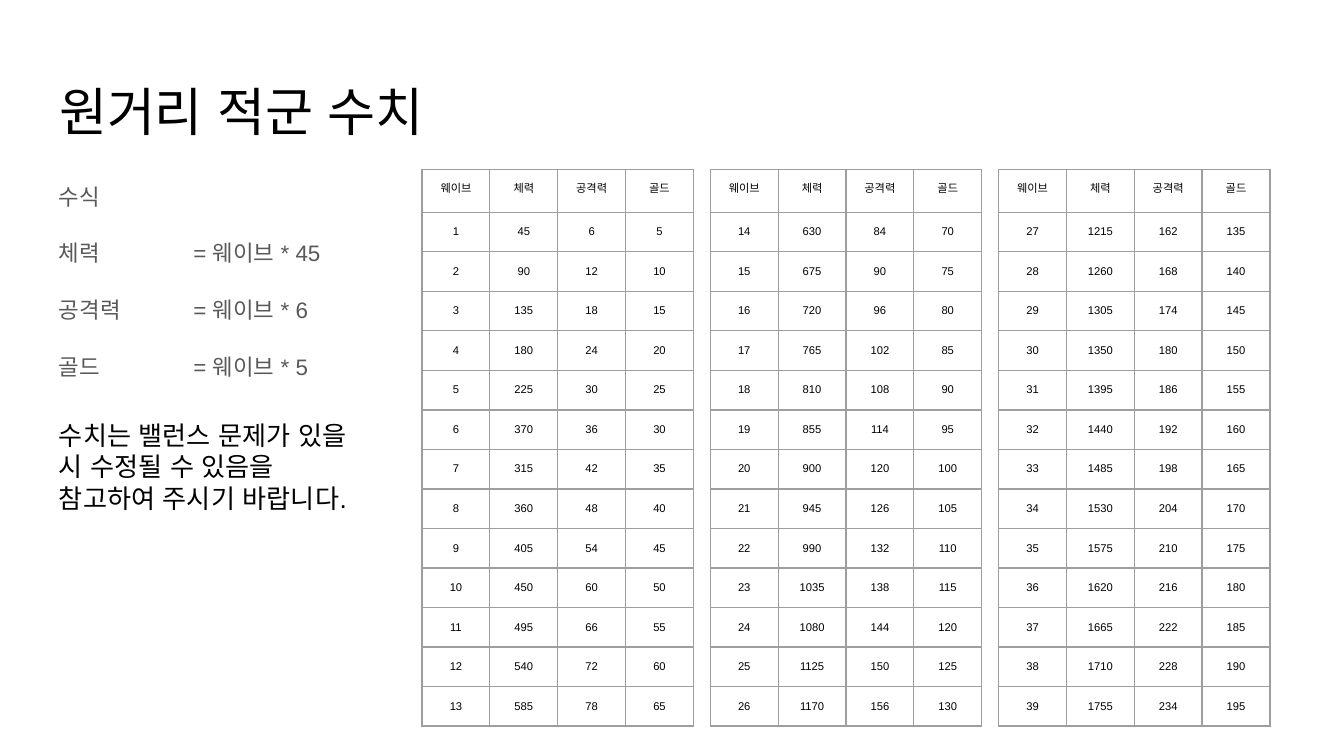
import dataclasses
import typing

import lxml.etree
import pptx
import pptx.dml.color
import pptx.enum.text
import pptx.oxml.ns
import pptx.slide
import pptx.table
import pptx.text.text
import pptx.util

Inches = pptx.util.Inches
Pt = pptx.util.Pt
RGBColor = pptx.dml.color.RGBColor
Align = pptx.enum.text.PP_ALIGN
Anchor = pptx.enum.text.MSO_ANCHOR
qn = pptx.oxml.ns.qn

BLACK = RGBColor(0x00, 0x00, 0x00)
GRAY = RGBColor(0x59, 0x59, 0x59)
BORDER = RGBColor(0x9E, 0x9E, 0x9E)
FONT = "Arial"
INSET = Inches(0.1)
PAGE_WIDTH = Inches(10)
PAGE_HEIGHT = PAGE_WIDTH * 9 // 16

HEADINGS = ("웨이브", "체력", "공격력", "골드")
HEALTH_FACTOR, ATTACK_FACTOR, GOLD_FACTOR = 45, 6, 5
HEALTH_EXCEPTIONS = {6: 370}
WAVES_PER_TABLE = 13
TABLE_COUNT = 3
FIRST_LEFT, LAST_LEFT = Inches(3.14), Inches(7.43)
TABLE_TOP = Inches(1.26)
TABLE_WIDTH = Inches(2.02)
HEADING_HEIGHT, WAVE_HEIGHT = Inches(0.32), Inches(0.29)


@dataclasses.dataclass(frozen=True)
class TextStyle:
    size: float
    color: RGBColor
    align: Align = Align.LEFT
    space_after: float = 0
    tab_stop: float = 0


@dataclasses.dataclass(frozen=True)
class TextBlock:
    left: float
    top: float
    width: float
    height: float
    lines: tuple[str, ...]
    style: TextStyle


TITLE = TextBlock(0.34, 0.49, 9.32, 0.63, ("원거리 적군 수치",), TextStyle(28, BLACK))
FORMULAS = TextBlock(
    0.34, 1.26, 2.67, 4.26,
    (
        "수식",
        f"체력\t= 웨이브 * {HEALTH_FACTOR}",
        f"공격력\t= 웨이브 * {ATTACK_FACTOR}",
        f"골드\t= 웨이브 * {GOLD_FACTOR}",
    ),
    TextStyle(12, GRAY, space_after=16, tab_stop=1),
)
NOTICE = TextBlock(
    0.34, 3.02, 2.54, 1.95,
    ("수치는 밸런스 문제가 있을 시 수정될 수 있음을 참고하여 주시기 바랍니다.",),
    TextStyle(14, BLACK),
)
CELL_STYLE = TextStyle(6, BLACK, Align.CENTER)


def set_values(target: typing.Any, values: dict[str, typing.Any]) -> None:
    for name, value in values.items():
        setattr(target, name, value)


def set_margins(target: typing.Any) -> None:
    sides = ("left", "top", "right", "bottom")
    set_values(target, {f"margin_{side}": INSET for side in sides})


def add_tab_stop(para: pptx.text.text._Paragraph, position: float) -> None:
    stops = lxml.etree.SubElement(para._p.get_or_add_pPr(), qn("a:tabLst"))
    lxml.etree.SubElement(stops, qn("a:tab"), pos=str(Inches(position)), algn="l")


def write_lines(
    frame: pptx.text.text.TextFrame, lines: tuple[str, ...], style: TextStyle
) -> None:
    for index, line in enumerate(lines):
        para = frame.add_paragraph() if index else frame.paragraphs[0]
        set_values(para, {"alignment": style.align, "space_after": Pt(style.space_after)})
        if style.tab_stop:
            add_tab_stop(para, style.tab_stop)
        span = para.add_run()
        span.text = line
        set_values(span.font, {"name": FONT, "size": Pt(style.size)})
        span.font.color.rgb = style.color
        for script in ("ea", "cs"):
            lxml.etree.SubElement(
                span._r.get_or_add_rPr(), qn(f"a:{script}"), typeface=FONT
            )


def fill_box(box: typing.Any, block: TextBlock) -> None:
    sides = ("left", "top", "width", "height")
    set_values(box, {side: Inches(getattr(block, side)) for side in sides})
    frame = box.text_frame
    set_margins(frame)
    set_values(frame, {
        "word_wrap": True,
        "auto_size": pptx.enum.text.MSO_AUTO_SIZE.NONE,
        "vertical_anchor": Anchor.TOP,
    })
    write_lines(frame, block.lines, block.style)


def add_borders(cell: pptx.table._Cell) -> None:
    properties = cell._tc.get_or_add_tcPr()
    for edge in ("L", "R", "T", "B"):
        line = lxml.etree.SubElement(properties, qn(f"a:ln{edge}"), w=str(Pt(0.75)))
        fill = lxml.etree.SubElement(line, qn("a:solidFill"))
        lxml.etree.SubElement(fill, qn("a:srgbClr"), val=str(BORDER))


def wave_values(wave: int) -> tuple[int, ...]:
    health = HEALTH_EXCEPTIONS.get(wave, wave * HEALTH_FACTOR)
    return wave, health, wave * ATTACK_FACTOR, wave * GOLD_FACTOR


def add_wave_table(page: pptx.slide.Slide, index: int) -> None:
    first_wave = index * WAVES_PER_TABLE + 1
    waves = range(first_wave, first_wave + WAVES_PER_TABLE)
    rows = [HEADINGS, *(wave_values(wave) for wave in waves)]
    left = FIRST_LEFT + index * (LAST_LEFT - FIRST_LEFT) // (TABLE_COUNT - 1)
    height = HEADING_HEIGHT + WAVES_PER_TABLE * WAVE_HEIGHT
    table = page.shapes.add_table(
        len(rows), len(HEADINGS), left, TABLE_TOP, TABLE_WIDTH, height
    ).table
    set_values(table, {"first_row": False, "horz_banding": False})
    for row_index, values in enumerate(rows):
        table.rows[row_index].height = WAVE_HEIGHT if row_index else HEADING_HEIGHT
        for column_index, value in enumerate(values):
            cell = table.cell(row_index, column_index)
            set_margins(cell)
            cell.vertical_anchor = Anchor.TOP
            add_borders(cell)
            cell.fill.background()
            write_lines(cell.text_frame, (str(value),), CELL_STYLE)


def build() -> None:
    deck = pptx.Presentation()
    set_values(deck, {"slide_width": PAGE_WIDTH, "slide_height": PAGE_HEIGHT})
    page = deck.slides.add_slide(deck.slide_layouts.get_by_name("Title Only"))
    fill_box(page.shapes.title, TITLE)
    fill_box(page.shapes.add_textbox(0, 0, 0, 0), FORMULAS)
    for index in range(TABLE_COUNT):
        add_wave_table(page, index)
    fill_box(page.shapes.add_textbox(0, 0, 0, 0), NOTICE)
    deck.save("out.pptx")


build()
